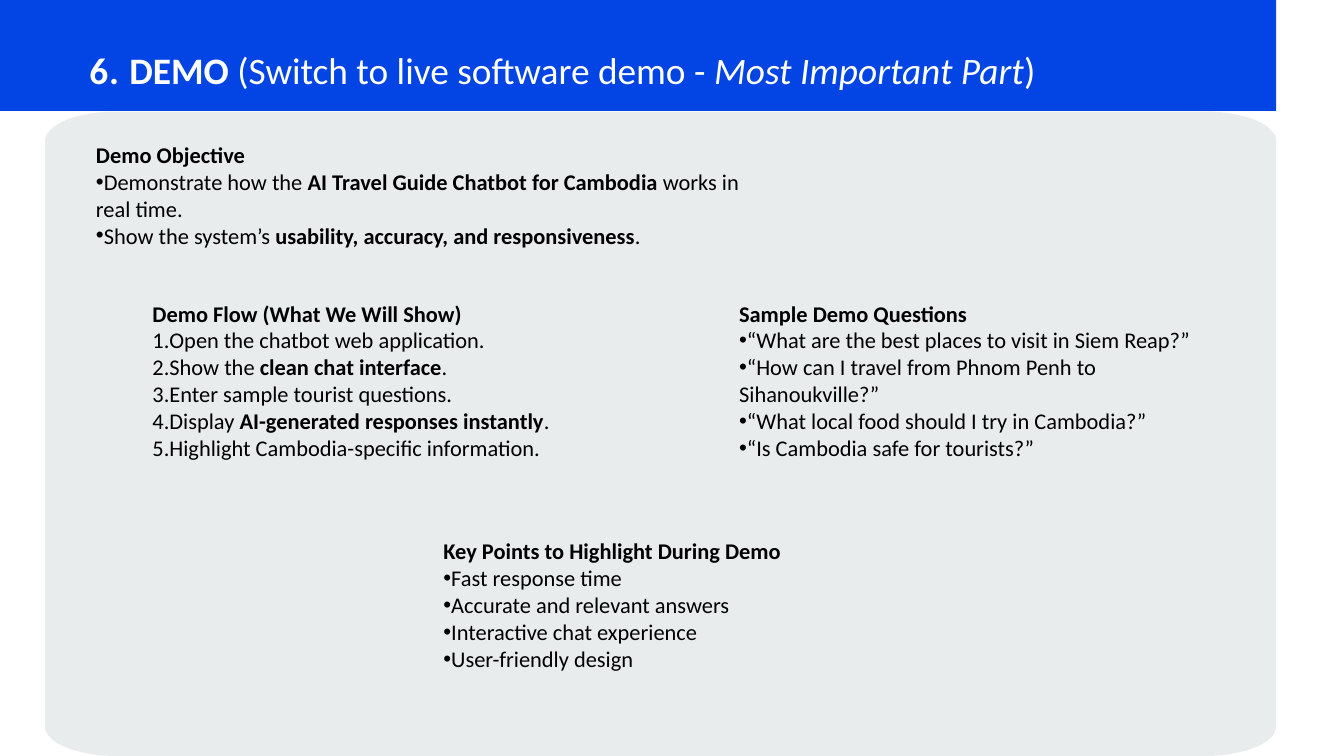
from dataclasses import dataclass
from math import cos, pi, sin

from lxml.etree import SubElement
from pptx import Presentation
from pptx.dml.color import RGBColor
from pptx.enum.shapes import MSO_SHAPE
from pptx.enum.text import MSO_AUTO_SIZE
from pptx.oxml.ns import qn
from pptx.util import Emu, Pt

PX = 9144
FONT = "Calibri"
COLORS = {"panel": "E8ECEC", "banner": "0345E4", "title": "FFFFFF", "text": "000000"}
ARC_STEPS = 24


@dataclass(frozen=True)
class Area:
    left: int
    top: int
    width: int
    height: int

    def emu(self) -> list[Emu]:
        return [Emu(n * PX) for n in (self.left, self.top, self.width, self.height)]


@dataclass(frozen=True)
class Style:
    size: int
    color: str
    bold: bool = False
    italic: bool = False
    tracking: int = 0


@dataclass(frozen=True)
class Section:
    area: Area
    heading: str
    items: tuple[str, ...]
    numbered: bool = False


PANEL = Area(67, 166, 1832, 959)
BANNER = Area(0, -4, 1899, 169)
TITLE = Area(133, 39, 1650, 189)

TITLE_SPANS = (
    ("6. ", Style(40, "title", bold=True, tracking=100)),
    ("DEMO", Style(40, "title", bold=True)),
    (" (Switch to live software demo - ", Style(40, "title")),
    ("Most Important Part", Style(40, "title", italic=True)),
    (")", Style(40, "title")),
)

SECTIONS = (
    Section(Area(133, 205, 1000, 172), "Demo Objective", (
        "Demonstrate how the *AI Travel Guide Chatbot for Cambodia* works in real time.",
        "Show the system’s *usability, accuracy, and responsiveness*.",
    )),
    Section(Area(217, 441, 725, 252), "Demo Flow (What We Will Show)", (
        "Open the chatbot web application.",
        "Show the *clean chat interface*.",
        "Enter sample tourist questions.",
        "Display *AI-generated responses instantly*.",
        "Highlight Cambodia-specific information.",
    ), numbered=True),
    Section(Area(1090, 441, 708, 252), "Sample Demo Questions", (
        "“What are the best places to visit in Siem Reap?”",
        "“How can I travel from Phnom Penh to Sihanoukville?”",
        "“What local food should I try in Cambodia?”",
        "“Is Cambodia safe for tourists?”",
    )),
    Section(Area(650, 795, 767, 212), "Key Points to Highlight During Demo", (
        "Fast response time",
        "Accurate and relevant answers",
        "Interactive chat experience",
        "User-friendly design",
    )),
)


def paint(shape, color: str) -> None:
    shape.fill.solid()
    shape.fill.fore_color.rgb = RGBColor.from_string(COLORS[color])
    shape.line.fill.background()
    shape.shadow.inherit = False


def add_panel(page, area: Area, radius_x: int, radius_y: int) -> None:
    right, bottom = area.left + area.width, area.top + area.height
    centers = (
        (right - radius_x, bottom - radius_y),
        (area.left + radius_x, bottom - radius_y),
        (area.left + radius_x, area.top + radius_y),
        (right - radius_x, area.top + radius_y),
    )
    points = []
    for corner, (x, y) in enumerate(centers):
        for step in range(ARC_STEPS + 1):
            angle = (corner + step / ARC_STEPS) * pi / 2
            points.append(((x + radius_x * cos(angle)) * PX, (y + radius_y * sin(angle)) * PX))
    builder = page.shapes.build_freeform(*points[0])
    builder.add_line_segments(points[1:], close=True)
    paint(builder.convert_to_shape(), "panel")


def add_box(page, area: Area):
    frame = page.shapes.add_textbox(*area.emu()).text_frame
    frame.word_wrap = True
    frame.auto_size = MSO_AUTO_SIZE.SHAPE_TO_FIT_TEXT
    return frame


def add_span(para, text: str, style: Style) -> None:
    span = para.add_run()
    span.text = text
    font = span.font
    font.name, font.size = FONT, Pt(style.size)
    font.bold, font.italic = style.bold, style.italic
    font.color.rgb = RGBColor.from_string(COLORS[style.color])
    if style.tracking:
        span._r.get_or_add_rPr().set("spc", str(style.tracking))


def add_bullet(para, numbered: bool) -> None:
    properties = para._p.get_or_add_pPr()
    if numbered:
        SubElement(properties, qn("a:buAutoNum"), type="arabicPeriod")
    else:
        SubElement(properties, qn("a:buFont"), typeface="Arial")
        SubElement(properties, qn("a:buChar"), char="•")


def add_title(page) -> None:
    frame = add_box(page, TITLE)
    frame.margin_left = frame.margin_top = frame.margin_right = frame.margin_bottom = 0
    para = frame.paragraphs[0]
    para.line_spacing = Pt(70)
    for text, style in TITLE_SPANS:
        add_span(para, text, style)


def add_section(page, section: Section) -> None:
    frame = add_box(page, section.area)
    add_span(frame.paragraphs[0], section.heading, Style(24, "text", bold=True))
    for item in section.items:
        para = frame.add_paragraph()
        add_bullet(para, section.numbered)
        for index, text in enumerate(item.split("*")):
            add_span(para, text, Style(24, "text", bold=index % 2 == 1))


def main() -> None:
    deck = Presentation()
    deck.slide_width, deck.slide_height = Emu(2000 * PX), Emu(1125 * PX)
    page = deck.slides.add_slide(deck.slide_layouts[6])
    add_panel(page, PANEL, 106, 44)
    paint(page.shapes.add_shape(MSO_SHAPE.RECTANGLE, *BANNER.emu()), "banner")
    add_title(page)
    for section in SECTIONS:
        add_section(page, section)
    deck.save("out.pptx")


if __name__ == "__main__":
    main()
